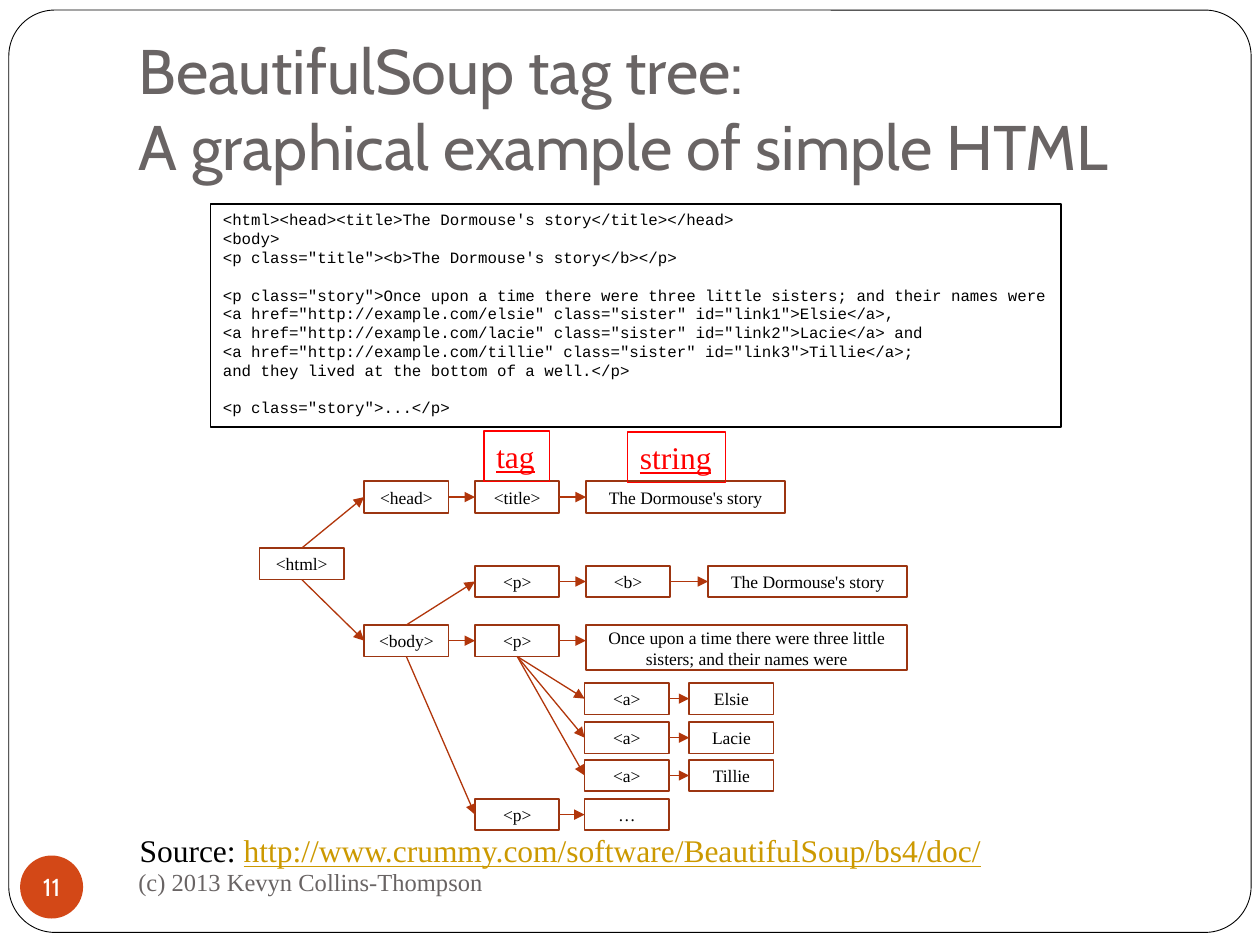
from lxml import etree
from pptx import Presentation
from pptx.dml.color import RGBColor
from pptx.enum.shapes import MSO_CONNECTOR, MSO_SHAPE
from pptx.enum.text import MSO_ANCHOR, MSO_AUTO_SIZE, PP_ALIGN
from pptx.oxml.ns import qn
from pptx.util import Inches, Pt

RECT, ROUNDED, OVAL = MSO_SHAPE.RECTANGLE, MSO_SHAPE.ROUNDED_RECTANGLE, MSO_SHAPE.OVAL
STRAIGHT = MSO_CONNECTOR.STRAIGHT
LEFT, CENTER = PP_ALIGN.LEFT, PP_ALIGN.CENTER
TOP, MIDDLE, BOTTOM = MSO_ANCHOR.TOP, MSO_ANCHOR.MIDDLE, MSO_ANCHOR.BOTTOM
FIT = MSO_AUTO_SIZE.SHAPE_TO_FIT_TEXT

BLACK = RGBColor(0x00, 0x00, 0x00)
WHITE = RGBColor(0xFF, 0xFF, 0xFF)
GRAY = RGBColor(0x69, 0x64, 0x64)
ORANGE = RGBColor(0xD3, 0x48, 0x17)
BROWN = RGBColor(0x9C, 0x35, 0x11)
RUST = RGBColor(0xB1, 0x36, 0x0B)
RED = RGBColor(0xFF, 0x00, 0x00)
GOLD = RGBColor(0xCC, 0x99, 0x00)
SANS, SERIF, MONO = "Cabin", "Times New Roman", "Courier New"

# Content
TITLE = ["BeautifulSoup tag tree:", "A graphical example of simple HTML"]
FOOTER = "(c) 2013 Kevyn Collins-Thompson"
PAGE = "11"
SOURCE = ("Source: ", "http://www.crummy.com/software/BeautifulSoup/bs4/doc/")
CODE_BLOCKS = [
    ["<html><head><title>The Dormouse's story</title></head>",
     "<body>",
     '<p class="title"><b>The Dormouse\'s story</b></p>'],
    ['<p class="story">Once upon a time there were three little sisters; and their names were',
     '<a href="http://example.com/elsie" class="sister" id="link1">Elsie</a>,',
     '<a href="http://example.com/lacie" class="sister" id="link2">Lacie</a> and',
     '<a href="http://example.com/tillie" class="sister" id="link3">Tillie</a>;',
     "and they lived at the bottom of a well.</p>"],
    ['<p class="story">...</p>'],
]
LABELS = [("tag", 3.84, 3.42, 0.52), ("string", 4.98, 3.43, 0.78)]

# Tree grid: column lefts, row tops and box sizes in inches
COL = {"root": 2.06, "section": 2.89, "block": 3.77, "child": 4.65,
       "link": 4.64, "name": 5.47, "bold text": 5.62}
ROW = {"root": 4.35, "head": 3.82, "title": 4.49, "story": 4.96,
       "elsie": 5.42, "lacie": 5.73, "tillie": 6.03, "last": 6.34}
BOX_W, BOX_H = 0.67, 0.25
PHRASE_W, STORY_W, STORY_H = 1.58, 2.55, 0.36

# Node: text, column, row, then width and height where they differ
NODES = {
    "html": ("<html>", "root", "root"),
    "head": ("<head>", "section", "head"),
    "body": ("<body>", "section", "story"),
    "title": ("<title>", "block", "head"),
    "title text": ("The Dormouse's story", "child", "head", PHRASE_W),
    "p title": ("<p>", "block", "title"),
    "b": ("<b>", "child", "title"),
    "b text": ("The Dormouse's story", "bold text", "title", PHRASE_W),
    "p story": ("<p>", "block", "story"),
    "story text": ("Once upon a time there were three little sisters; and their names were",
                   "child", "story", STORY_W, STORY_H),
    "p last": ("<p>", "block", "last"),
    "last text": ("…", "link", "last"),
}
SISTERS = ["Elsie", "Lacie", "Tillie"]

# Each edge leaves the given side and enters the left side of its target
SITE = {"top": 0, "left": 1, "bottom": 2, "right": 3}
EDGES = [
    ("html", "top", "head"), ("html", "bottom", "body"),
    ("head", "right", "title"), ("title", "right", "title text"),
    ("body", "top", "p title"), ("body", "right", "p story"), ("body", "bottom", "p last"),
    ("p title", "right", "b"), ("b", "right", "b text"),
    ("p story", "right", "story text"), ("p last", "right", "last text"),
]
for sister in SISTERS:
    link = "a " + sister
    NODES[link] = ("<a>", "link", sister.lower())
    NODES[sister] = (sister, "name", sister.lower())
    EDGES += [("p story", "bottom", link), (link, "right", sister)]


def style_run(run, size, font, color, underline=False):
    run.font.size, run.font.name, run.font.underline = Pt(size), font, underline
    run.font.color.rgb = color


def set_frame(shape, **settings):
    for name, value in settings.items():
        setattr(shape.text_frame, name, value)


def write(shape, text, size, font, color, align=LEFT, underline=False):
    paragraph = shape.text_frame.paragraphs[0]
    paragraph.alignment = align
    run = paragraph.add_run()
    run.text = text
    style_run(run, size, font, color, underline)


def add_box(kind, place, fill=None, line=None, weight=0.75):
    box = slide.shapes.add_shape(kind, *map(Inches, place))
    box.shadow.inherit = False
    if fill is None:
        box.fill.background()
    else:
        box.fill.solid()
        box.fill.fore_color.rgb = fill
    if line is None:
        box.line.fill.background()
    else:
        box.line.color.rgb, box.line.width = line, Pt(weight)
    return box


def add_arrow(start, side, end):
    arrow = slide.shapes.add_connector(STRAIGHT, 0, 0, 0, 0)
    arrow.begin_connect(boxes[start], SITE[side])
    arrow.end_connect(boxes[end], SITE["left"])
    # Enter tall boxes at the height of a normal one
    arrow.end_y = boxes[end].top + Inches(BOX_H / 2)
    arrow.line.color.rgb, arrow.line.width = RUST, Pt(0.75)
    properties = arrow.element.spPr
    etree.SubElement(properties.find(qn("a:ln")), qn("a:tailEnd"), type="triangle")
    etree.SubElement(properties, qn("a:effectLst"))


deck = Presentation()
deck.slide_width, deck.slide_height = Inches(10), Inches(7.5)
slide = deck.slides.add_slide(deck.slide_layouts[5])

# Page frame, behind the title
page_frame = add_box(ROUNDED, (0.07, 0.08, 9.86, 7.32), WHITE, BLACK, 0.5)
page_frame.adjustments[0] = 0.05
slide.shapes.element.insert(2, page_frame.element)

# Title
title = slide.shapes.title
title.left, title.top, title.width, title.height = map(Inches, (1, 0.3, 8.5, 1.25))
set_frame(title, vertical_anchor=BOTTOM, word_wrap=True, auto_size=MSO_AUTO_SIZE.NONE,
          margin_bottom=Inches(0.1))
write(title, TITLE[0], 36, SANS, GRAY)
title.text_frame.paragraphs[0].add_line_break()
write(title, TITLE[1], 36, SANS, GRAY)

# Footer and page number
footer = slide.shapes.add_textbox(*map(Inches, (1, 6.75, 4.33, 0.5)))
set_frame(footer, vertical_anchor=MIDDLE, word_wrap=True)
write(footer, FOOTER, 14, SERIF, GRAY)

page_badge = add_box(OVAL, (0.16, 6.79, 0.5, 0.5), ORANGE)
set_frame(page_badge, vertical_anchor=MIDDLE, word_wrap=False,
          margin_left=0, margin_right=0, margin_top=0, margin_bottom=0)
write(page_badge, PAGE, 14, SANS, WHITE, CENTER)

# Code listing
listing = add_box(RECT, (1.67, 1.62, 6.75, 1.77), line=BLACK)
set_frame(listing, vertical_anchor=TOP, word_wrap=True)
LINE_PITCH = Pt(10.75)
paragraph = listing.text_frame.paragraphs[0]
for block_index, block in enumerate(CODE_BLOCKS):
    for line_index, code in enumerate(block):
        if block_index or line_index:
            paragraph = listing.text_frame.add_paragraph()
        paragraph.alignment, paragraph.line_spacing = LEFT, LINE_PITCH
        if block_index and not line_index:
            paragraph.space_before = LINE_PITCH
        code_run = paragraph.add_run()
        code_run.text = code
        style_run(code_run, 9, MONO, BLACK)

# Source line
source = slide.shapes.add_textbox(*map(Inches, (1.01, 6.55, 7.2, 0.4)))
set_frame(source, word_wrap=False, auto_size=FIT)
write(source, SOURCE[0], 18, SERIF, BLACK)
write(source, SOURCE[1], 18, SERIF, GOLD, underline=True)

# Tag tree
boxes = {}
for key, (text, column, row, *size) in NODES.items():
    width, height = (size + [BOX_W, BOX_H][len(size):])
    boxes[key] = add_box(RECT, (COL[column], ROW[row], width, height), WHITE, BROWN, 1)
    set_frame(boxes[key], vertical_anchor=MIDDLE, word_wrap=True)
    write(boxes[key], text, 10, SERIF, BLACK, CENTER)
for edge in EDGES:
    add_arrow(*edge)

# Labels above the tree
for text, left, top, width in LABELS:
    label = add_box(RECT, (left, top, width, 0.4), line=RED)
    set_frame(label, vertical_anchor=TOP, word_wrap=False, auto_size=FIT)
    write(label, text, 18, SERIF, RED, underline=True)

deck.save("out.pptx")
